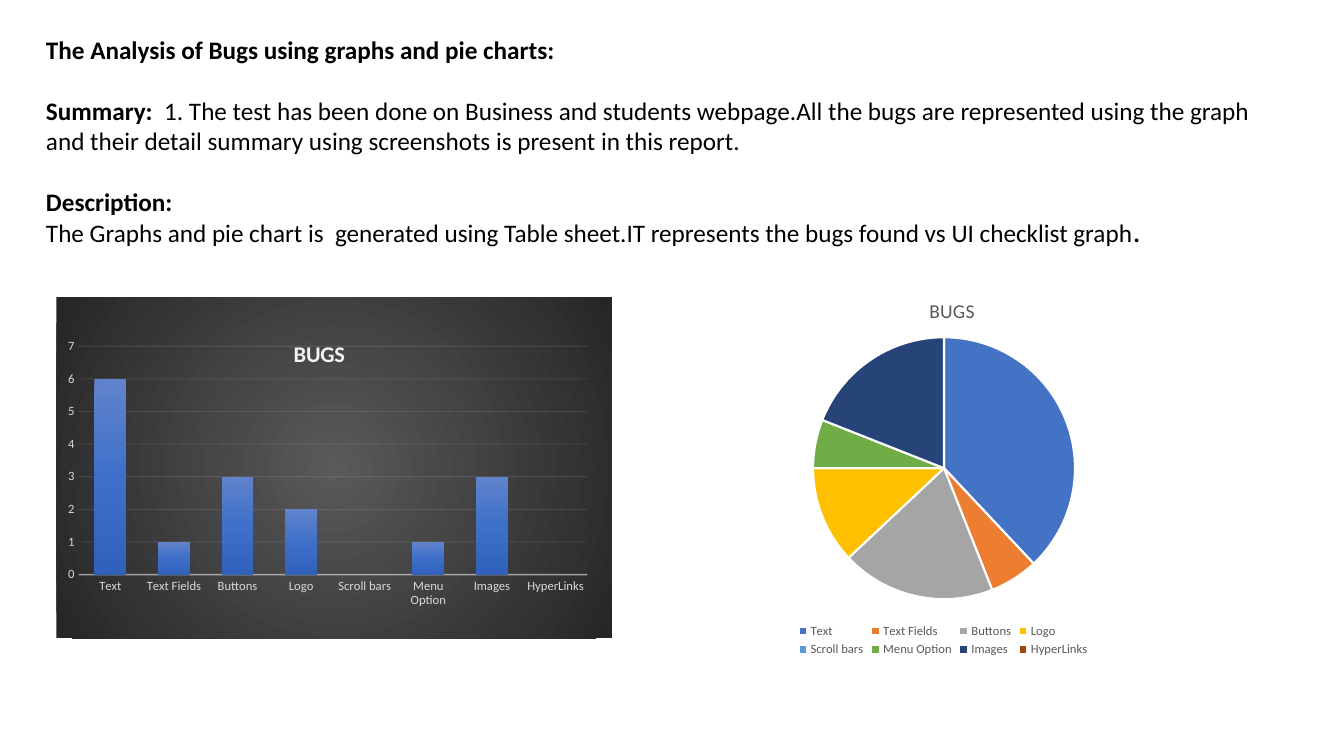
from dataclasses import dataclass
from typing import NamedTuple, Optional

from lxml import etree
from pptx import Presentation
from pptx.chart.chart import Chart
from pptx.chart.data import CategoryChartData
from pptx.dml.color import RGBColor
from pptx.enum.chart import XL_CHART_TYPE, XL_LEGEND_POSITION, XL_TICK_MARK
from pptx.oxml import parse_xml
from pptx.oxml.ns import nsdecls, qn
from pptx.slide import Slide
from pptx.util import Cm, Pt

COLUMN = XL_CHART_TYPE.COLUMN_CLUSTERED
PIE = XL_CHART_TYPE.PIE
BOTTOM = XL_LEGEND_POSITION.BOTTOM
NO_TICK = XL_TICK_MARK.NONE


@dataclass(frozen=True)
class Theme:
    font: str = "Calibri"
    body_size: float = 18
    chart_size: float = 10
    label_size: float = 9
    column_title_size: float = 16
    pie_title_size: float = 14
    ink: str = "000000"
    white: str = "FFFFFF"
    grey: str = "595959"
    pale: str = "F2F2F2"
    axis_text: str = "D9D9D9"
    backdrop: tuple = ((0, "595959"), (100, "262626"))
    column: tuple = ((0, "6183CB"), (50, "3E70CA"), (100, "3062BB"))
    slices: tuple = ("4472C4", "ED7D31", "A5A5A5", "FFC000",
                     "5B9BD5", "70AD47", "264478", "9E480E")


class Run(NamedTuple):
    text: str
    bold: bool = False


class Para(NamedTuple):
    runs: tuple[Run, ...]
    gap: float = 0


class Box(NamedTuple):
    left: float
    top: float
    width: float
    height: float


class Layout(NamedTuple):
    x: float
    y: float
    w: Optional[float] = None
    h: Optional[float] = None


@dataclass(frozen=True)
class ChartItem:
    kind: XL_CHART_TYPE
    box: Box
    values: tuple[int, ...]
    title_size: float
    title_color: str
    title_bold: bool
    title_at: Layout
    plot_at: Layout


THEME = Theme()
TITLE = "BUGS"
CHECKS = ("Text", "Text Fields", "Buttons", "Logo",
          "Scroll bars", "Menu Option", "Images", "HyperLinks")
TEXT_BOX = Box(0.91, 0.74, 31.27, 7.19)
PARAS = (
    Para((Run("The Analysis of Bugs using graphs and pie charts:", True),)),
    Para((Run("Summary:  ", True),
          Run("1. The test has been done on Business and students webpage."
              "All the bugs are represented using the graph and their detail "
              "summary using screenshots is present in this report.")), 22),
    Para((Run("Description:", True),), 22),
    Para((Run("The Graphs and pie chart is  generated using Table sheet."
              "IT represents the bugs found vs UI checklist graph"),
          Run(".", True))),
)
COLUMN_ITEM = ChartItem(COLUMN, Box(1.42, 7.49, 14, 8.59),
                        (6, 1, 3, 2, 0, 1, 3, 0),
                        THEME.column_title_size, THEME.pale, True,
                        Layout(0.42, 0.11), Layout(0.04, 0.144, 0.916, 0.67))
PIE_ITEM = ChartItem(PIE, Box(16.48, 6.91, 14.58, 9.75),
                     (38, 6, 19, 12, 0, 6, 19, 0),
                     THEME.pie_title_size, THEME.grey, False,
                     Layout(0.47, 0.05), Layout(0.275, 0.163, 0.453, 0.677))


def rgb(value: str) -> RGBColor:
    return RGBColor.from_string(value)


def style_font(font, size: float, color: str, bold: bool = False) -> None:
    font.name = THEME.font
    font.size = Pt(size)
    font.bold = bold
    font.color.rgb = rgb(color)


def gradient(stops: tuple, direction: str) -> str:
    marks = "".join(f'<a:gs pos="{pos * 1000}"><a:srgbClr val="{color}"/></a:gs>'
                    for pos, color in stops)
    return f'<a:gradFill {nsdecls("a")}><a:gsLst>{marks}</a:gsLst>{direction}</a:gradFill>'


def place(parent, at: Layout, inner: bool = False) -> None:
    layout = parent.find(qn("c:layout"))
    if layout is None:
        layout = etree.Element(qn("c:layout"))
        parent.insert(0, layout)
    manual = etree.SubElement(layout, qn("c:manualLayout"))
    entries = [("layoutTarget", "inner")] if inner else []
    entries += [("xMode", "edge"), ("yMode", "edge")]
    entries += [(key, str(val)) for key, val in at._asdict().items() if val is not None]
    for key, val in entries:
        etree.SubElement(manual, qn(f"c:{key}")).set("val", val)


def set_alpha(chart: Chart, target: str, percent: int) -> None:
    for color in chart.element.xpath(f"//{target}//a:ln//a:srgbClr"):
        etree.SubElement(color, qn("a:alpha")).set("val", str(percent * 1000))


def add_text(slide: Slide, box: Box, paras: tuple[Para, ...]) -> None:
    tf = slide.shapes.add_textbox(*map(Cm, box)).text_frame
    tf.word_wrap = True
    for i, para in enumerate(paras):
        p = tf.paragraphs[0] if i == 0 else tf.add_paragraph()
        p.space_before = Pt(para.gap)
        for run in para.runs:
            r = p.add_run()
            r.text = run.text
            style_font(r.font, THEME.body_size, THEME.ink, run.bold)


def add_chart(slide: Slide, item: ChartItem) -> Chart:
    data = CategoryChartData()
    data.categories = CHECKS
    data.add_series(TITLE, item.values)
    chart = slide.shapes.add_chart(item.kind, *map(Cm, item.box), data).chart
    style_font(chart.font, THEME.chart_size, THEME.ink)
    chart.has_title = True
    r = chart.chart_title.text_frame.paragraphs[0].add_run()
    r.text = TITLE
    style_font(r.font, item.title_size, item.title_color, item.title_bold)
    place(chart.element.xpath("c:chart/c:title")[0], item.title_at)
    place(chart.element.xpath("c:chart/c:plotArea")[0], item.plot_at, True)
    return chart


def style_columns(chart: Chart) -> None:
    chart.has_legend = False
    plot = chart.plots[0]
    plot.vary_by_categories = False
    plot.gap_width, plot.overlap = 100, -24
    for axis in (chart.category_axis, chart.value_axis):
        axis.major_tick_mark = axis.minor_tick_mark = NO_TICK
        style_font(axis.tick_labels.font, THEME.label_size, THEME.axis_text)
    values = chart.value_axis
    values.minimum_scale, values.maximum_scale, values.major_unit = 0, 7, 1
    values.format.line.fill.background()
    for line, width in ((chart.category_axis.format.line, 1),
                        (values.major_gridlines.format.line, 0.75)):
        line.color.rgb = rgb(THEME.pale)
        line.width = Pt(width)
    set_alpha(chart, "c:catAx/c:spPr", 54)
    set_alpha(chart, "c:majorGridlines", 10)
    plot.series[0].format.fill.solid()
    fill = chart.element.xpath("//c:ser/c:spPr/a:solidFill")[0]
    fill.getparent().replace(fill, parse_xml(
        gradient(THEME.column, '<a:lin ang="5400000" scaled="0"/>')))
    circle = ('<a:path path="circle"><a:fillToRect l="50000" t="50000" '
              'r="50000" b="50000"/></a:path>')
    chart.element.find(qn("c:chart")).addnext(parse_xml(
        f'<c:spPr {nsdecls("c", "a")}>{gradient(THEME.backdrop, circle)}'
        '<a:ln><a:noFill/></a:ln></c:spPr>'))


def style_pie(chart: Chart) -> None:
    chart.has_legend = True
    chart.legend.position = BOTTOM
    chart.legend.include_in_layout = False
    style_font(chart.legend.font, THEME.label_size, THEME.grey)
    plot = chart.plots[0]
    plot.vary_by_categories = True
    for i, color in enumerate(THEME.slices):
        fmt = plot.series[0].points[i].format
        fmt.fill.solid()
        fmt.fill.fore_color.rgb = rgb(color)
        fmt.line.color.rgb = rgb(THEME.white)
        fmt.line.width = Pt(1.5)


def main() -> None:
    prs = Presentation()
    prs.slide_width, prs.slide_height = Cm(33.87), Cm(19.05)
    s = prs.slides.add_slide(prs.slide_layouts[6])
    add_text(s, TEXT_BOX, PARAS)
    style_columns(add_chart(s, COLUMN_ITEM))
    style_pie(add_chart(s, PIE_ITEM))
    prs.save("out.pptx")


if __name__ == "__main__":
    main()
